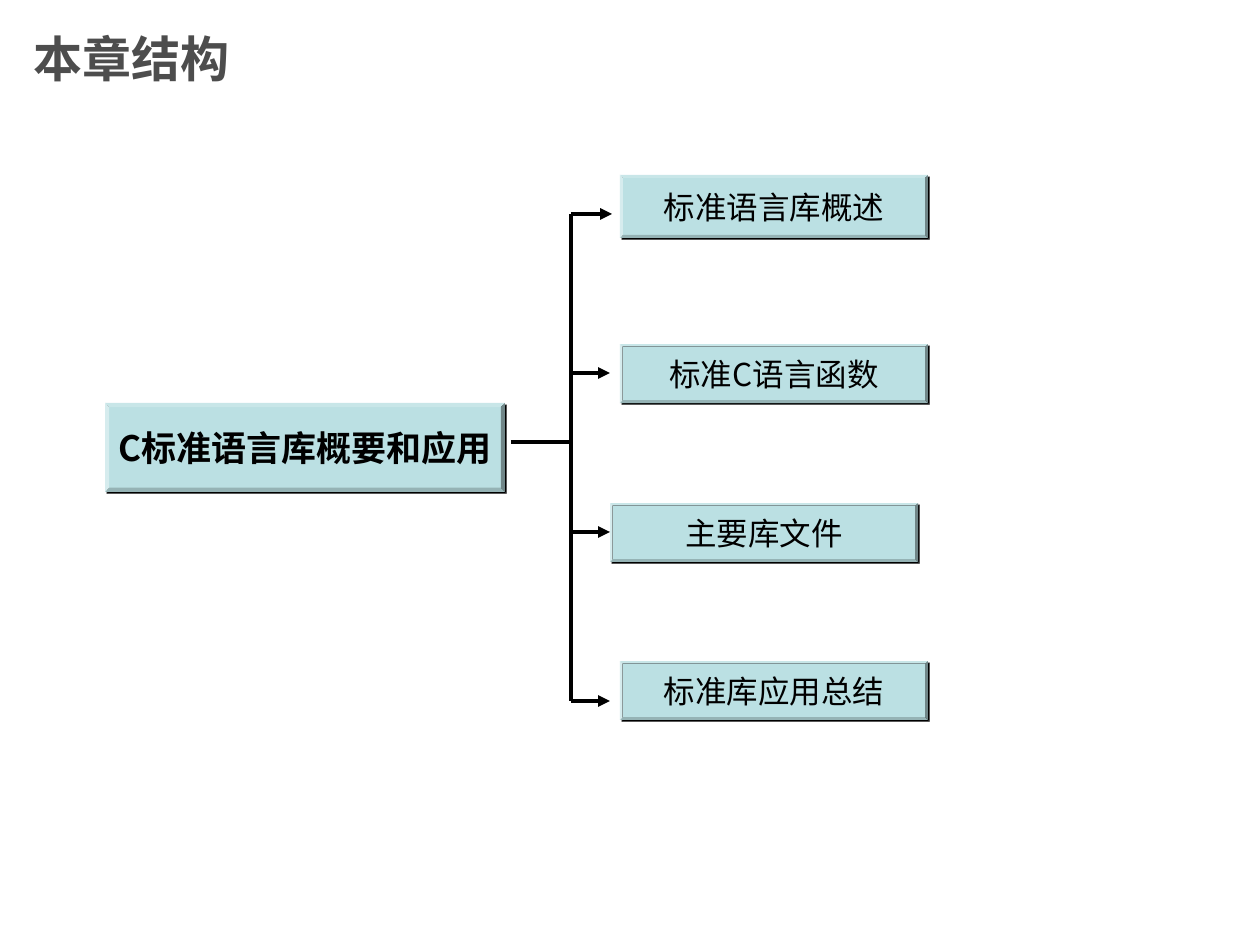
from dataclasses import dataclass
from typing import Any

from lxml.etree import SubElement
from pptx import Presentation
from pptx.dml.color import RGBColor
from pptx.enum.shapes import MSO_CONNECTOR as Connector, MSO_SHAPE as Shape
from pptx.enum.text import MSO_ANCHOR as Anchor, PP_ALIGN as Align
from pptx.oxml.ns import qn
from pptx.util import Emu, Pt

PIXELS_PER_INCH = 126
BLACK = RGBColor(0x00, 0x00, 0x00)
GREY = RGBColor(0x4D, 0x4D, 0x4D)
PALE_TEAL = RGBColor(0xBB, 0xE0, 0xE3)
LABEL_FONT = "Noto Sans CJK SC"
SPINE_X = 571


@dataclass(frozen=True)
class Box:
    """A bevelled box with its label."""
    text: str
    left: int
    top: int
    width: int = 308
    height: int = 59
    size: int = 18
    bold: bool = False


@dataclass(frozen=True)
class Branch:
    """A topic box and the arrow that leads to it."""
    box: Box
    arrow_y: int
    arrow_end: int = 610


ROOT = Box("C标准语言库概要和应用", 105, 403, 400, 89, 20, True)
BRANCHES = [
    Branch(Box("标准语言库概述", 620, 175, height=63), 214, 612),
    Branch(Box("标准C语言函数", 620, 344), 373),
    Branch(Box("主要库文件", 610, 503), 532),
    Branch(Box("标准库应用总结", 620, 661), 701),
]


def px(value: int) -> Emu:
    """Turn pixels into EMU."""
    return Emu(round(value * 914400 / PIXELS_PER_INCH))


def apply_format(target: Any, values: dict[str, Any]) -> None:
    """Set each named attribute on the target."""
    for name, value in values.items():
        setattr(target, name, value)


def place(shape: Any, left: int, top: int, width: int, height: int) -> None:
    """Move and size a shape in pixels."""
    apply_format(shape, {"left": px(left), "top": px(top),
                         "width": px(width), "height": px(height)})


def write_text(shape: Any, text: str, align: Align, color: RGBColor,
               font: dict[str, Any]) -> None:
    """Write one formatted line, centred vertically."""
    apply_format(shape.text_frame, {"vertical_anchor": Anchor.MIDDLE})
    paragraph = shape.text_frame.paragraphs[0]
    paragraph.alignment = align
    run = paragraph.add_run()
    run.text = text
    apply_format(run.font, font)
    run.font.color.rgb = color


def add_shadow(shape: Any) -> None:
    """Give a shape a hard black shadow at 45 degrees."""
    shape.shadow.inherit = False
    effects = shape._element.spPr.find(qn("a:effectLst"))
    shadow = SubElement(effects, qn("a:outerShdw"), blurRad="0",
                        dist=str(Pt(1.4)), dir="2700000", algn="ctr", rotWithShape="0")
    SubElement(shadow, qn("a:srgbClr"), val=str(BLACK))


def add_box(slide: Any, box: Box) -> None:
    """Draw a bevelled box."""
    shape = slide.shapes.add_shape(Shape.BEVEL, 0, 0, 0, 0)
    place(shape, box.left, box.top, box.width, box.height)
    shape.adjustments[0] = 0.047
    shape.fill.solid()
    shape.fill.fore_color.rgb = PALE_TEAL
    shape.line.fill.background()
    add_shadow(shape)
    shape.text_frame.word_wrap = False
    write_text(shape, box.text, Align.CENTER, BLACK,
               {"name": LABEL_FONT, "size": Pt(box.size), "bold": box.bold})
    properties = shape.text_frame.paragraphs[0].runs[0].font._element
    SubElement(properties, qn("a:ea"), typeface=LABEL_FONT)


def add_line(slide: Any, start: tuple[int, int], end: tuple[int, int],
             arrow: bool = False) -> None:
    """Draw a straight black line, with an arrowhead if asked."""
    line = slide.shapes.add_connector(Connector.STRAIGHT, *map(px, start + end))
    line.line.color.rgb = BLACK
    line.line.width = Pt(2.25)
    if arrow:
        SubElement(line.line._get_or_add_ln(), qn("a:tailEnd"), type="triangle")
    SubElement(line._element.spPr, qn("a:effectLst"))


def main() -> None:
    """Build the chapter structure slide."""
    presentation = Presentation()
    apply_format(presentation, {"slide_width": px(1260), "slide_height": px(945)})
    slide = presentation.slides.add_slide(presentation.slide_layouts[5])

    title = slide.shapes.title
    place(title, 21, 0, 945, 116)
    write_text(title, "本章结构", Align.LEFT, GREY,
               {"name": "Arial", "size": Pt(28), "bold": True})

    add_box(slide, ROOT)
    add_line(slide, (511, 442), (SPINE_X, 442))
    add_line(slide, (SPINE_X, BRANCHES[0].arrow_y), (SPINE_X, BRANCHES[-1].arrow_y))
    for branch in BRANCHES:
        add_box(slide, branch.box)
        add_line(slide, (SPINE_X, branch.arrow_y),
                 (branch.arrow_end, branch.arrow_y), arrow=True)

    presentation.save("out.pptx")


if __name__ == "__main__":
    main()
